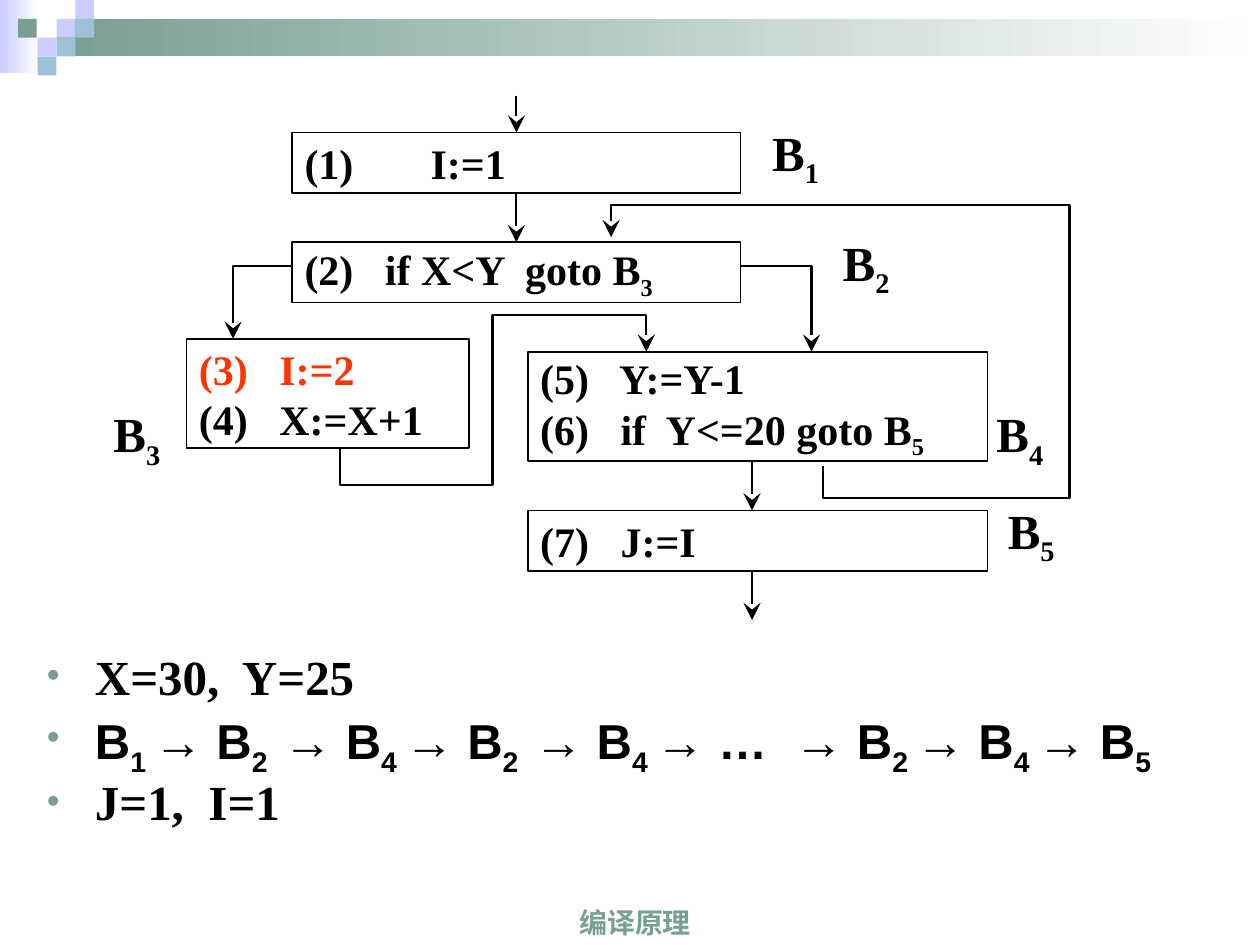
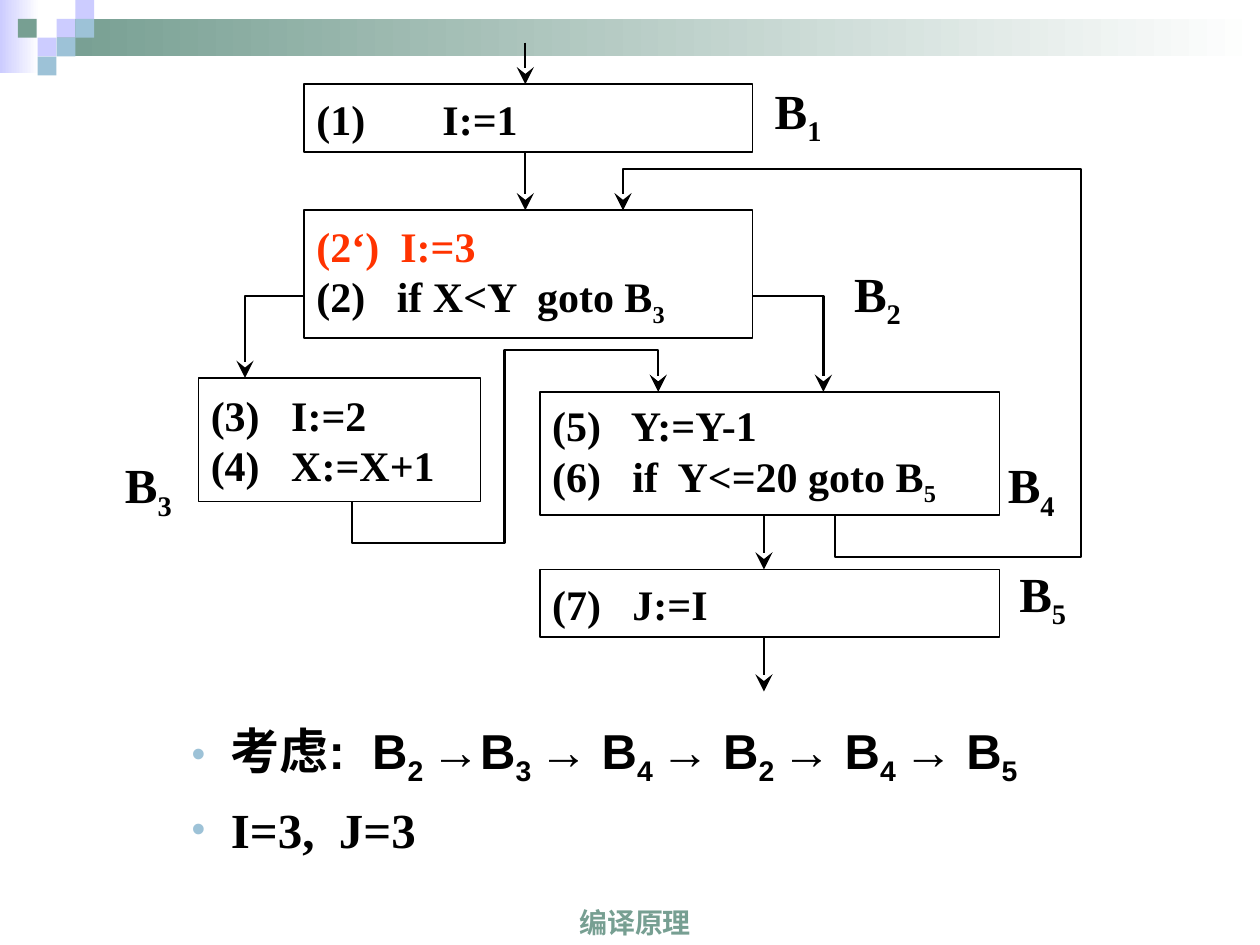
"""Build two slides on control-flow graphs of basic blocks."""
from lxml.etree import SubElement
from pptx import Presentation
from pptx.dml.color import RGBColor
from pptx.enum.shapes import MSO_CONNECTOR as CONNECTOR, MSO_SHAPE as SHAPE
from pptx.enum.text import MSO_ANCHOR as ANCHOR, MSO_AUTO_SIZE as AUTO_SIZE, PP_ALIGN as ALIGN
from pptx.oxml.ns import qn
from pptx.util import Cm, Pt

GREEN, LILAC, BLUE = "779F92", "CCCCFF", "9DC2D7"
BLACK, WHITE, RED = "000000", "FFFFFF", "FF3300"
SERIF, SANS = "Times New Roman", "Arial"


def rgb(color):
    return RGBColor.from_string(color)


def write_lines(frame, lines, size, font=SERIF, color=BLACK, align=ALIGN.LEFT, bullet=None):
    """Fill a text frame; the parts between tildes become subscripts."""
    for number, line in enumerate(lines):
        paragraph = frame.add_paragraph() if number else frame.paragraphs[0]
        paragraph.alignment = align
        properties = paragraph._p.get_or_add_pPr()
        if bullet:
            bullet_color, percent, margin, indent = bullet
            properties.set("marL", str(Cm(margin)))
            properties.set("indent", str(Cm(indent)))
            SubElement(SubElement(properties, qn("a:buClr")), qn("a:srgbClr"), val=bullet_color)
            SubElement(properties, qn("a:buSzPct"), val=str(percent * 1000))
            SubElement(properties, qn("a:buFont"), typeface=SANS)
            SubElement(properties, qn("a:buChar"), char="•")
            paragraph.space_before = Pt(7 if number else 0)
        if "\t" in line:
            tabs = SubElement(properties, qn("a:tabLst"))
            SubElement(tabs, qn("a:tab"), pos=str(Cm(2.54)), algn="l")
        paragraph.font.name = font
        paragraph.font.size = Pt(size)
        paragraph.font.bold = True
        paragraph.font.color.rgb = rgb(color)
        for index, piece in enumerate(line.split("~")):
            if piece:
                run = paragraph.add_run()
                run.text = piece
                if index % 2:
                    run._r.get_or_add_rPr().set("baseline", "-25000")


BANDS = [(0, 0, 0.79, 1.47, LILAC), (1.14, 0.38, 24.26, 0.76, GREEN)]
TILE = 0.38
TILES = [(1.14, 1, LILAC), (1.52, 0, LILAC), (1.52, 1, BLUE), (0.76, 2, LILAC),
         (0.36, 1, GREEN), (1.14, 2, BLUE), (0.76, 3, BLUE)]
BLOCK_COLUMNS = [(5.89, 9.04), (5.89, 9.04), (3.76, 5.69), (10.64, 9.27), (10.64, 9.27)]
BLOCK_LINES = [["(1)\tI:=1"], ["(2)   if X<Y  goto B~3"], ["(3)   I:=2", "(4)   X:=X+1"],
               ["(5)   Y:=Y-1", "(6)   if  Y<=20 goto B~5"], ["(7)   J:=I"]]

SLIDES = [
    dict(shift=0, tops=[2.67, 4.88, 6.83, 7.09, 10.29], heights=[1.22, 1.22, 2.21, 2.21, 1.22],
         added_line=[], red_block=2, entry_x=10.41, branch_y=5.36, step=0.74, loop_gap=0.1,
         label_lefts=[15.39, 16.81, 2.11, 19.91, 20.14],
         label_tops=[2.41, 4.62, 8.08, 8.08, 10.03], label_height=1.47,
         body=(0.69, 13.13, 24.31, 4.01), bullet=(GREEN, 75, 0.97, -0.97), level=0,
         spacing=0.8, path_line=1,
         lines=["X=30,  Y=25",
                "B~1 ~→ B~2  ~→ B~4 ~→ B~2  ~→ B~4 ~→ …  → B~2 ~→ B~4 ~→ B~5",
                "J=1,  I=1"]),
    dict(shift=0.24, tops=[1.7, 4.24, 7.62, 7.9, 11.48], heights=[1.37, 2.57, 2.49, 2.49, 1.37],
         added_line=["(2‘)  I:=3"], red_block=1, entry_x=10.59, branch_y=5.97, step=0.84,
         loop_gap=0, label_lefts=[15.44, 17.04, 2.34, 20.14, 20.37],
         label_tops=[1.47, 5.16, 9.02, 9.02, 11.2], label_height=1.65,
         body=(2.34, 14.4, 21.59, 3.38), bullet=(BLUE, 80, 2.06, -0.79), level=1,
         spacing=1.0, path_line=0,
         lines=["考虑:  B~2 ~→B~3 ~→ B~4 ~→ B~2 ~→ B~4 ~→ B~5", "I=3,  J=3"]),
]

presentation = Presentation()
presentation.slide_width, presentation.slide_height = Cm(25.4), Cm(19.05)

for page in SLIDES:
    slide = presentation.slides.add_slide(presentation.slide_layouts[1])
    shapes = slide.shapes
    title = shapes.title.element
    title.getparent().remove(title)

    for left, top, width, height, color in BANDS:
        band = shapes.add_shape(SHAPE.RECTANGLE, Cm(left), Cm(top), Cm(width), Cm(height))
        band.shadow.inherit = False
        band.line.fill.background()
        band.fill.gradient()
        band.fill.gradient_angle = 0
        for stop, stop_color in zip(band.fill.gradient_stops, (color, WHITE)):
            stop.color.rgb = rgb(stop_color)
    for left, row, color in TILES:
        tile = shapes.add_shape(SHAPE.RECTANGLE, Cm(left), Cm(row * TILE), Cm(TILE), Cm(TILE))
        tile.shadow.inherit = False
        tile.line.fill.background()
        tile.fill.solid()
        tile.fill.fore_color.rgb = rgb(color)

    footer = shapes.add_textbox(Cm(8.31), Cm(17.78), Cm(8.99), Cm(1.27)).text_frame
    footer.word_wrap = True
    footer.vertical_anchor = ANCHOR.BOTTOM
    write_lines(footer, ["编译原理"], 16, SANS, GREEN, ALIGN.CENTER)

    shift, tops, step = page["shift"], page["tops"], page["step"]
    bottoms = [top + height for top, height in zip(tops, page["heights"])]
    for number, (left, width) in enumerate(BLOCK_COLUMNS):
        block = shapes.add_shape(SHAPE.RECTANGLE, Cm(left + shift), Cm(tops[number]),
                                 Cm(width), Cm(page["heights"][number]))
        block.shadow.inherit = False
        block.fill.background()
        block.line.color.rgb = rgb(BLACK)
        block.line.width = Pt(1)
        frame = block.text_frame
        frame.word_wrap = True
        frame.vertical_anchor = ANCHOR.MIDDLE
        added = page["added_line"] if number == 1 else []
        write_lines(frame, added + BLOCK_LINES[number], 24)
        if number == page["red_block"]:
            frame.paragraphs[0].font.color.rgb = rgb(RED)

        label = shapes.add_textbox(Cm(page["label_lefts"][number]), Cm(page["label_tops"][number]),
                                   Cm(1.3), Cm(page["label_height"])).text_frame
        label.word_wrap = False
        label.margin_left = label.margin_right = 0
        label.vertical_anchor = ANCHOR.MIDDLE
        write_lines(label, [f"B~{number + 1}"], 28, align=ALIGN.CENTER)

    entry_x, exit_x = page["entry_x"], 15.16 + shift
    branch_y, loop_gap = page["branch_y"], page["loop_gap"]
    false_x, true_x = 4.7 + shift, 16.36 + shift
    join_xs = [x + shift for x in (6.86, 9.93, 13.03)]
    loop_xs = [x + shift for x in (16.59, 21.56, 12.32)]
    join_low, join_high = bottoms[2] + step, tops[3] - step
    loop_low, loop_high = bottoms[3] + step, tops[1] - step
    routes = [
        [(entry_x, tops[0] - step), (entry_x, tops[0])],
        [(entry_x, bottoms[0]), (entry_x, tops[1])],
        [(exit_x, bottoms[3]), (exit_x, tops[4])],
        [(exit_x, bottoms[4]), (exit_x, bottoms[4] + tops[4] - bottoms[3])],
        [(5.89 + shift, branch_y), (false_x, branch_y), (false_x, tops[2])],
        [(14.93 + shift, branch_y), (true_x, branch_y), (true_x, tops[3])],
        [(join_xs[0], bottoms[2]), (join_xs[0], join_low), (join_xs[1], join_low),
         (join_xs[1], join_high), (join_xs[2], join_high), (join_xs[2], tops[3])],
        [(loop_xs[0], bottoms[3] + loop_gap), (loop_xs[0], loop_low), (loop_xs[1], loop_low),
         (loop_xs[1], loop_high), (loop_xs[2], loop_high), (loop_xs[2], tops[1] - loop_gap)],
    ]
    for route in routes:
        start, *corners = [(Cm(x), Cm(y)) for x, y in route]
        if len(corners) == 1:
            arrow = shapes.add_connector(CONNECTOR.STRAIGHT, *start, *corners[0])
        else:
            builder = shapes.build_freeform(*start)
            builder.add_line_segments(corners, close=False)
            arrow = builder.convert_to_shape()
            arrow.fill.background()
        arrow.line.color.rgb = rgb(BLACK)
        arrow.line.width = Pt(1.25)
        properties = arrow.element.spPr
        SubElement(properties.find(qn("a:ln")), qn("a:tailEnd"), type="stealth", w="lg", len="lg")
        SubElement(properties, qn("a:effectLst"))

    body = slide.placeholders[1]
    body.left, body.top, body.width, body.height = [Cm(length) for length in page["body"]]
    body.text_frame.auto_size = AUTO_SIZE.NONE
    write_lines(body.text_frame, page["lines"], 28, bullet=page["bullet"])
    for paragraph in body.text_frame.paragraphs:
        paragraph.level = page["level"]
        paragraph.line_spacing = page["spacing"]
    path_paragraph = body.text_frame.paragraphs[page["path_line"]]
    path_paragraph.font.name = SANS
    SubElement(path_paragraph._p.pPr.find(qn("a:defRPr")), qn("a:ea"), typeface=SANS)

presentation.save("out.pptx")
